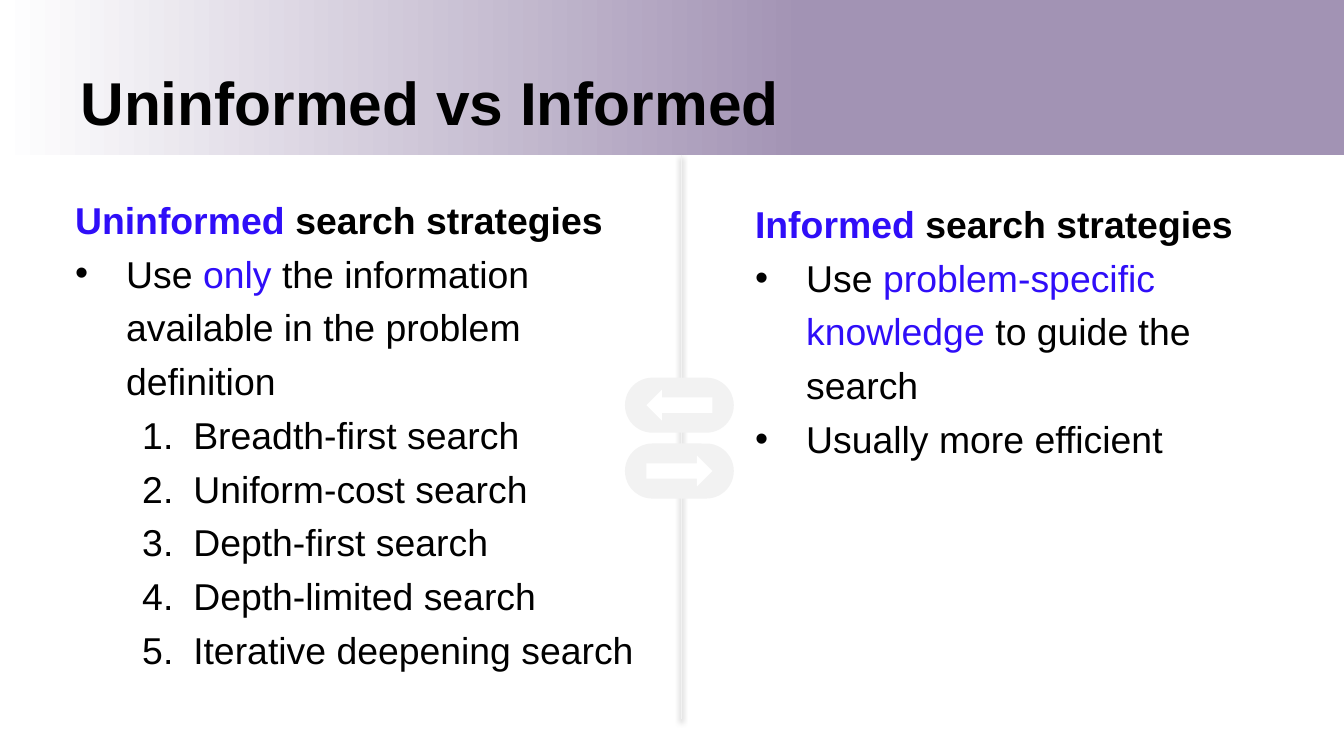
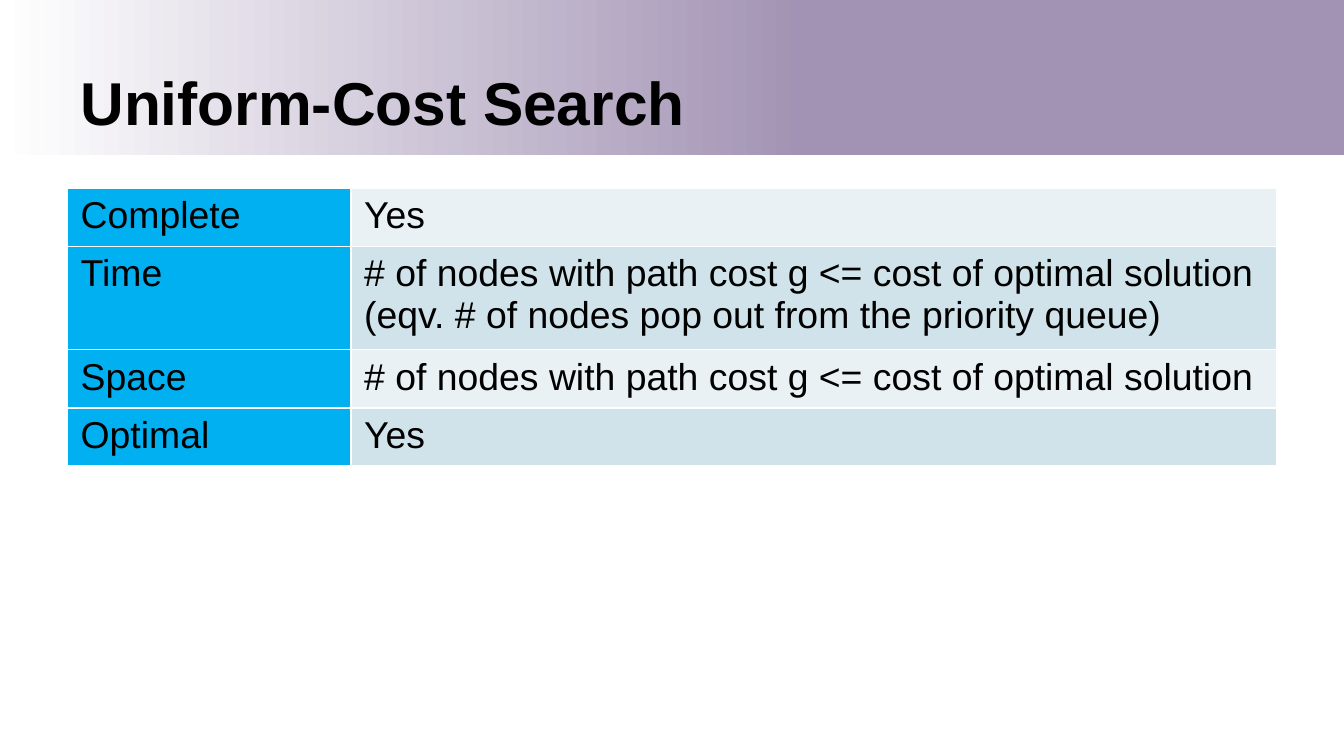
from pptx import Presentation
from pptx.dml.color import RGBColor
from pptx.enum.shapes import MSO_CONNECTOR, MSO_SHAPE
from pptx.enum.text import MSO_ANCHOR
from pptx.oxml import parse_xml
from pptx.oxml.ns import nsdecls
from pptx.util import Inches, Pt

C = {"black": "000000", "white": "FFFFFF", "purple": "A293B4", "accent": "2F0EF8",
     "grey": "F2F2F2", "label": "00B0F0", "light": "E9F1F5", "dark": "D0E3EA"}
FONT = "Arial"
BULLET = '<a:buChar {} char="•"/>'
NUMBER = '<a:buAutoNum {} type="arabicPeriod"/>'
MARKER_COLOR = '<a:buClr {} ><a:srgbClr val="000000"/></a:buClr>'
MARKER_FONT = '<a:buFont {} typeface="Arial"/>'


def add_run(p, text, size=20, color="black", bold=False):
    r = p.add_run()
    r.text = text
    r.font.name, r.font.size, r.font.bold = FONT, Pt(size), bold
    r.font.color.rgb = RGBColor.from_string(C[color])


def add_slide(title):
    s = prs.slides.add_slide(prs.slide_layouts[6])
    # Gradient band
    band = s.shapes.add_shape(MSO_SHAPE.RECTANGLE, 0, 0, prs.slide_width, Inches(1.15))
    band.shadow.inherit = False
    band.line.fill.background()
    band.fill.gradient()
    band.fill.gradient_angle = 0
    for stop, (pos, color) in zip(band.fill.gradient_stops, [(0, "white"), (0.6, "purple")]):
        stop.position = pos
        stop.color.rgb = RGBColor.from_string(C[color])
    # Title
    tf = s.shapes.add_textbox(Inches(0.5), Inches(0.46), Inches(9), Inches(0.59)).text_frame
    tf.word_wrap = True
    tf.vertical_anchor = MSO_ANCHOR.MIDDLE
    add_run(tf.paragraphs[0], title, 32.4, bold=True)
    return s


# 16:9 page
prs = Presentation()
prs.slide_width = Inches(10)
prs.slide_height = prs.slide_width * 9 // 16

# Slide 1: two columns; each paragraph is (marker, left margin, runs)
s = add_slide("Uninformed vs Informed")
searches = ["Breadth-first search", "Uniform-cost search", "Depth-first search",
            "Depth-limited search", "Iterative deepening search"]
columns = [
    ((0.46, 1.35, 4.61, 3.18), [
        (None, 0, [("Uninformed ", "accent"), ("search strategies", "black")]),
        (BULLET, 0.38, [("Use ", "black"), ("only", "accent"),
                        (" the information available in the problem definition", "black")]),
    ] + [(NUMBER, 0.88, [(name, "black")]) for name in searches]),
    ((5.52, 1.38, 4.33, 2.12), [
        (None, 0, [("Informed", "accent"), (" search strategies", "black")]),
        (BULLET, 0.38, [("Use ", "black"), ("problem-specific knowledge ", "accent"),
                        ("to guide the search", "black")]),
        (BULLET, 0.38, [("Usually more efficient", "black")]),
    ]),
]
for box, paragraphs in columns:
    tf = s.shapes.add_textbox(*[Inches(v) for v in box]).text_frame
    tf.word_wrap = True
    for i, (marker, margin, runs) in enumerate(paragraphs):
        p = tf.paragraphs[0] if i == 0 else tf.add_paragraph()
        p.line_spacing = 1.2
        if marker:
            pPr = p._p.get_or_add_pPr()
            pPr.set("marL", str(Inches(margin)))
            pPr.set("indent", str(Inches(-0.38)))
            for xml in (MARKER_COLOR, MARKER_FONT, marker):
                pPr.append(parse_xml(xml.format(nsdecls("a"))))
            p.level = 1 if marker == NUMBER else 0
        for text, color in runs:
            add_run(p, text, color=color, bold=marker is None)

# Divider with a soft shadow
divider = s.shapes.add_connector(MSO_CONNECTOR.STRAIGHT, Inches(5.07), Inches(1.15),
                                 Inches(5.07), Inches(5.35))
divider.line.color.rgb = RGBColor.from_string(C["grey"])
divider.line.width = Pt(0.75)
divider._element.spPr.append(parse_xml(
    f'<a:effectLst {nsdecls("a")}><a:outerShdw blurRad="{Pt(3.1)}" dist="{Pt(1.6)}" '
    'dir="5400000" rotWithShape="0"><a:srgbClr val="000000"><a:alpha val="38000"/>'
    '</a:srgbClr></a:outerShdw></a:effectLst>'))

# Arrow badges
for top, arrow in [(3.3, MSO_SHAPE.RIGHT_ARROW), (2.81, MSO_SHAPE.LEFT_ARROW)]:
    badge = s.shapes.add_group_shape()
    for kind, x, y, w, h, color in [
            (MSO_SHAPE.ROUNDED_RECTANGLE, 4.65, top, 0.81, 0.41, "grey"),
            (arrow, 4.81, top + 0.09, 0.49, 0.23, "white")]:
        sp = badge.shapes.add_shape(kind, Inches(x), Inches(y), Inches(w), Inches(h))
        sp.adjustments[0] = 0.5
        sp.shadow.inherit = False
        sp.fill.solid()
        sp.fill.fore_color.rgb = RGBColor.from_string(C[color])
        sp.line.fill.background()

# Slide 2: properties table; the default style draws its white rules
s = add_slide("Uniform-Cost Search")
nodes = "# of nodes with path cost g <= cost of optimal solution"
rows = [("Complete", ["Yes"]),
        ("Time", [nodes, "(eqv. # of nodes pop out from the priority queue)"]),
        ("Space", [nodes]),
        ("Optimal", ["Yes"])]
table = s.shapes.add_table(len(rows), 2, Inches(0.5), Inches(1.4), Inches(9), Inches(1.64)).table
table.first_row = False
table.columns[0].width, table.columns[1].width = Inches(2.11), Inches(6.89)
for i, (label, lines) in enumerate(rows):
    table.rows[i].height = Inches(0.41)
    band_color = "dark" if i % 2 else "light"
    for j, (texts, color) in enumerate([([label], "label"), (lines, band_color)]):
        cell = table.cell(i, j)
        cell.fill.solid()
        cell.fill.fore_color.rgb = RGBColor.from_string(C[color])
        for k, text in enumerate(texts):
            p = cell.text_frame.paragraphs[0] if k == 0 else cell.text_frame.add_paragraph()
            add_run(p, text)

prs.save("out.pptx")
